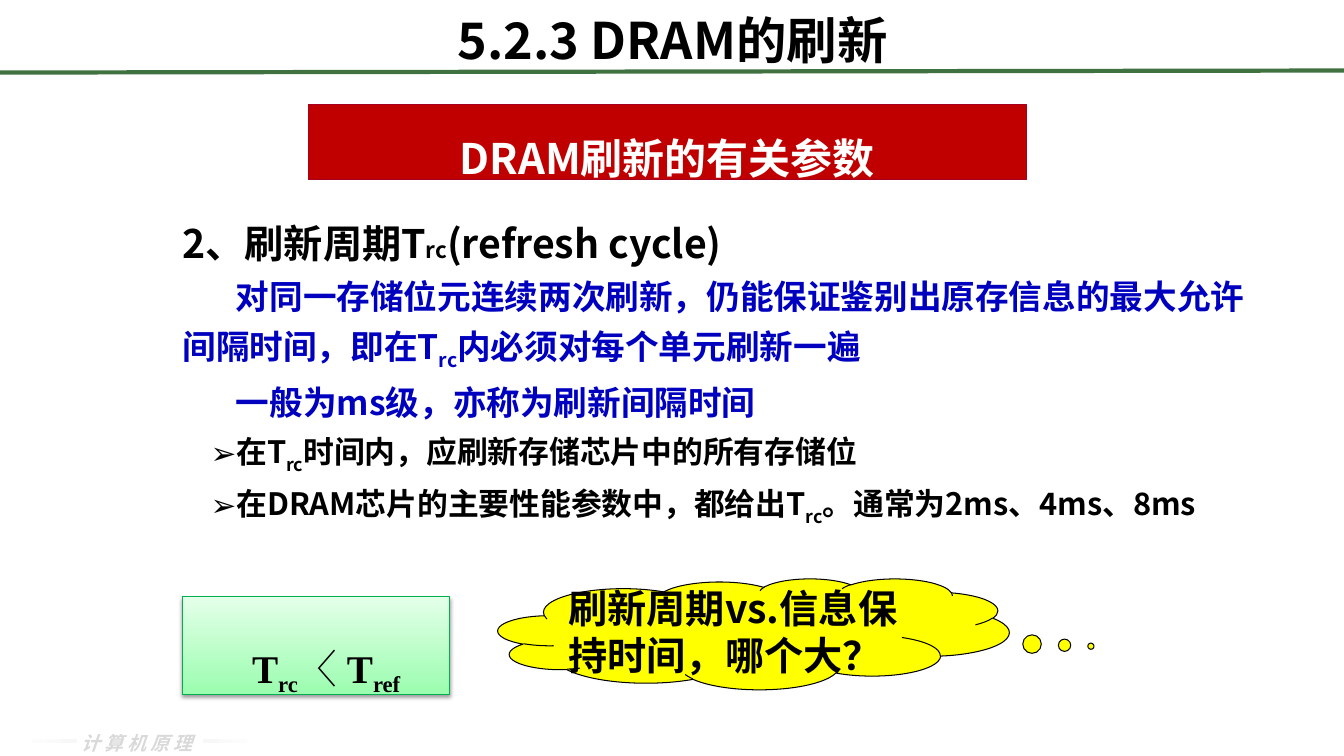
from pptx import Presentation
from pptx.dml.color import RGBColor
from pptx.enum.shapes import MSO_CONNECTOR, MSO_SHAPE
from pptx.enum.text import MSO_ANCHOR, MSO_AUTO_SIZE, PP_ALIGN
from pptx.oxml.ns import qn
from pptx.util import Inches, Pt
from lxml.etree import SubElement

THEME = dict(
    sans="Noto Sans CJK SC", serif="Times New Roman",
    black="000000", white="FFFFFF", blue="0000BF", red="C00000", edge="A50021",
    yellow="FFFF00", green="3F7141", rim="00B04E", pale="E4FFE9", mint="9BFDAF",
    grey="D9D9D9", faint="F7F7F7",
    title=36, banner=30, head=28, text=24, item=22, small=16, foot=13.5,
)
RGB = RGBColor.from_string

deck = Presentation()
deck.slide_width, deck.slide_height = Inches(13.33), Inches(7.5)
slide = deck.slides.add_slide(deck.slide_layouts[1])
shapes = slide.shapes


def area(left, top, width, height):
    """Turn percent of the slide into lengths."""
    wide, high = deck.slide_width / 100, deck.slide_height / 100
    return [int(n) for n in (left * wide, top * high, width * wide, height * high)]


def write(par, text, size, color="black", font="sans", low=None,
          left=0, first=0, mark=None, **form):
    """Fill a paragraph; pieces between underscores are set low or small."""
    props = par._p.get_or_add_pPr()
    props.set("marL", str(Inches(left)))
    props.set("indent", str(Inches(first)))
    if mark:
        SubElement(props, qn("a:buChar")).set("char", mark)
    else:
        SubElement(props, qn("a:buNone"))
    for key, value in ({"space_before": Pt(0)} | form).items():
        setattr(par, key, value)
    for turn, piece in enumerate(text.split("_")):
        run = par.add_run()
        run.text = piece
        sub = turn % 2
        look = dict(name=THEME[font], bold=True, size=Pt(THEME[low if sub and low else size]))
        for key, value in look.items():
            setattr(run.font, key, value)
        run.font.color.rgb = RGB(THEME[color])
        if sub and not low:
            run.font._element.set("baseline", "-25000")
        SubElement(run.font._element, qn("a:ea")).set("typeface", THEME[font])


# Footer: course name between two fading bars
for left, turn in ((1.28, 0), (15.08, 180)):
    bar = shapes.add_shape(MSO_SHAPE.RECTANGLE, *area(left, 97.73, 4.43, 0.53))
    bar.shadow.inherit = False
    bar.line.fill.background()
    bar.fill.gradient()
    bar.fill.gradient_angle = turn
    for stop, tone in zip(bar.fill.gradient_stops, ("white", "faint")):
        stop.color.rgb = RGB(THEME[tone])
foot = shapes.add_textbox(*area(5.33, 96.13, 10.95, 4.53)).text_frame
foot.word_wrap = True
write(foot.paragraphs[0], "计算机原理", "foot", "grey")
name = foot.paragraphs[0].runs[0].font
name.italic = True
name._element.set("spc", "300")

# Rule under the title
_, start, wide, _ = area(0, 9.6, 100, 0)
end = area(0, 9.33, 0, 0)[1]
rule = shapes.add_connector(MSO_CONNECTOR.STRAIGHT, 0, start, wide, end)
rule.line.color.rgb = RGB(THEME["green"])
rule.line.width = Pt(3)
SubElement(rule._element.spPr, qn("a:effectLst"))

# Title and body placeholders
title, body = shapes.title, slide.placeholders[1]
for holder, place, anchor in (
    (title, (5.03, -0.4, 90.02, 11.33), MSO_ANCHOR.MIDDLE),
    (body, (9.08, 27.07, 84.32, 48.93), MSO_ANCHOR.TOP),
):
    holder.left, holder.top, holder.width, holder.height = area(*place)
    frame = holder.text_frame
    frame.auto_size = MSO_AUTO_SIZE.NONE
    frame.word_wrap = True
    frame.vertical_anchor = anchor
write(title.text_frame.paragraphs[0], "5.2.3 DRAM的刷新", "title", alignment=PP_ALIGN.CENTER)

head = dict(size="head", low="small", left=0.5)
para = dict(size="text", color="blue", left=0.5, first=0.53)
item = dict(size="item", left=1, first=-0.22, mark="➢")
lines = (
    ("2、刷新周期T_rc_(refresh cycle)", head),
    ("对同一存储位元连续两次刷新，仍能保证鉴别出原存信息的最大允许间隔时间，"
     "即在T_rc_内必须对每个单元刷新一遍", para),
    ("一般为ms级，亦称为刷新间隔时间", para),
    ("在T_rc_时间内，应刷新存储芯片中的所有存储位", item),
    ("在DRAM芯片的主要性能参数中，都给出T_rc_。通常为2ms、4ms、8ms", item),
)
frame = body.text_frame
for row, (text, form) in enumerate(lines):
    par = frame.add_paragraph() if row else frame.paragraphs[0]
    write(par, text, line_spacing=1.2, space_before=Pt(1.5 if row else 0), **form)

# Banner, question cloud and formula box
cards = (
    (MSO_SHAPE.RECTANGLE, (22.96, 13.87, 53.41, 9.87), "red", "edge", (0.1, 0.05),
     MSO_ANCHOR.MIDDLE, "DRAM刷新的有关参数",
     dict(size="banner", color="white", alignment=PP_ALIGN.CENTER, line_spacing=1.6)),
    (MSO_SHAPE.CLOUD_CALLOUT, (37.06, 76.53, 38.03, 14.67), "yellow", "black", (0, 0.05),
     MSO_ANCHOR.MIDDLE, "刷新周期vs.信息保持时间，哪个大？",
     dict(size="head", alignment=PP_ALIGN.LEFT)),
    (MSO_SHAPE.RECTANGLE, (13.58, 78.93, 19.88, 12.93), "pale", "rim", (0.3, 0.15),
     MSO_ANCHOR.TOP, "T_rc_〈 T_ref_",
     dict(size="head", font="serif", left=0.39, alignment=PP_ALIGN.LEFT, line_spacing=1.6)),
)
for kind, place, fill, line, (side, edge), anchor, text, form in cards:
    card = shapes.add_shape(kind, *area(*place))
    card.shadow.inherit = False
    card.fill.solid()
    card.fill.fore_color.rgb = RGB(THEME[fill])
    card.line.color.rgb = RGB(THEME[line])
    card.line.width = Pt(0.75)
    if kind == MSO_SHAPE.CLOUD_CALLOUT:
        card.adjustments[0], card.adjustments[1] = 0.66, 0.11
    frame = card.text_frame
    inset = dict(margin_left=side, margin_right=side, margin_top=edge, margin_bottom=edge)
    for key, value in inset.items():
        setattr(frame, key, Inches(value))
    frame.word_wrap = True
    frame.vertical_anchor = anchor
    write(frame.paragraphs[0], text, **form)

# The formula box, last in the loop, gets a green fade and a soft shadow
card.fill.gradient()
card.fill.gradient_angle = 270
for stop, tone in zip(card.fill.gradient_stops, ("pale", "mint")):
    stop.color.rgb = RGB(THEME[tone])
cast = SubElement(card._element.spPr.find(qn("a:effectLst")), qn("a:outerShdw"),
                  blurRad=str(Pt(3.1)), dist=str(Pt(1.6)), dir="5400000", rotWithShape="0")
tint = SubElement(cast, qn("a:srgbClr"), val=THEME["black"])
SubElement(tint, qn("a:alpha"), val="38000")

deck.save("out.pptx")
